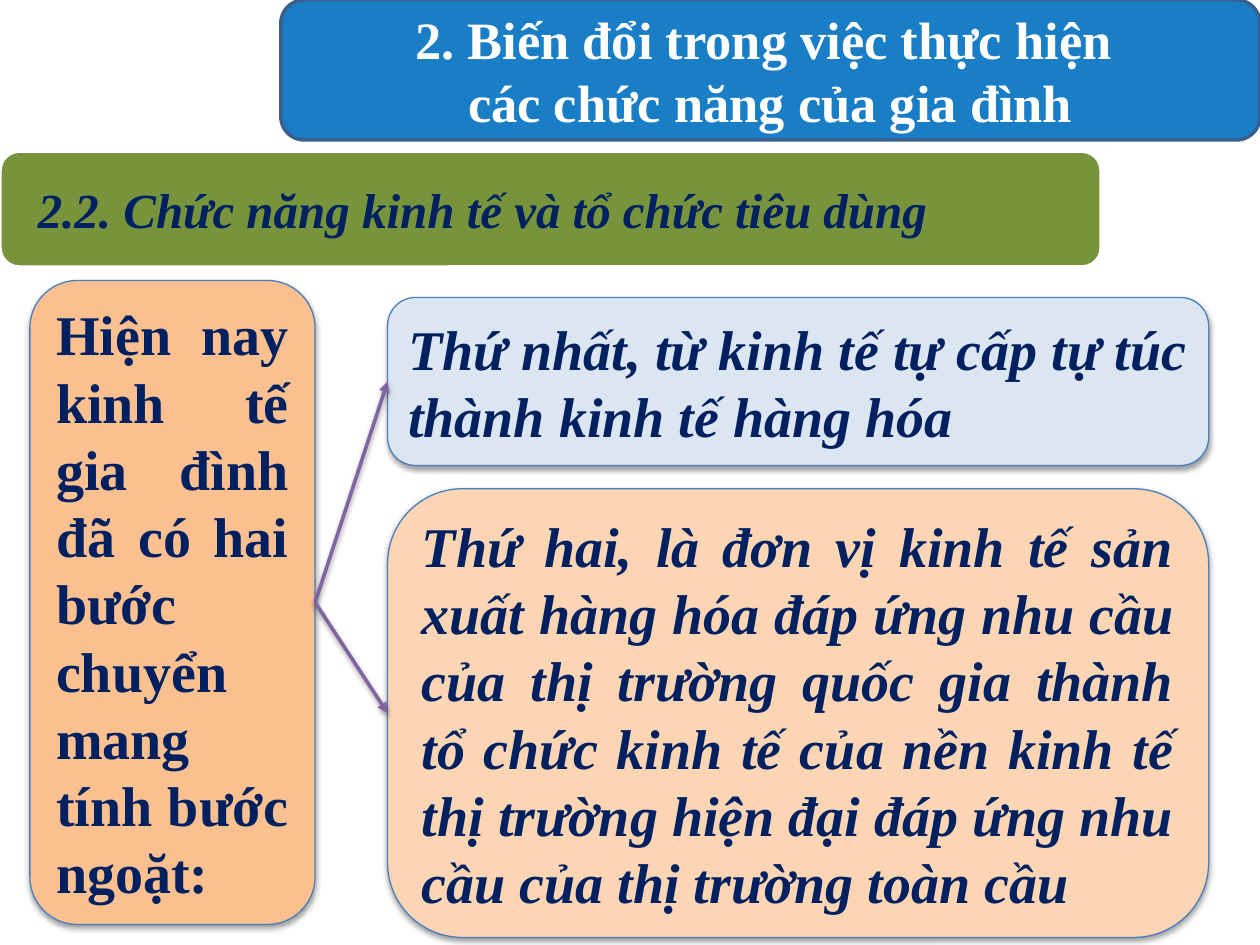
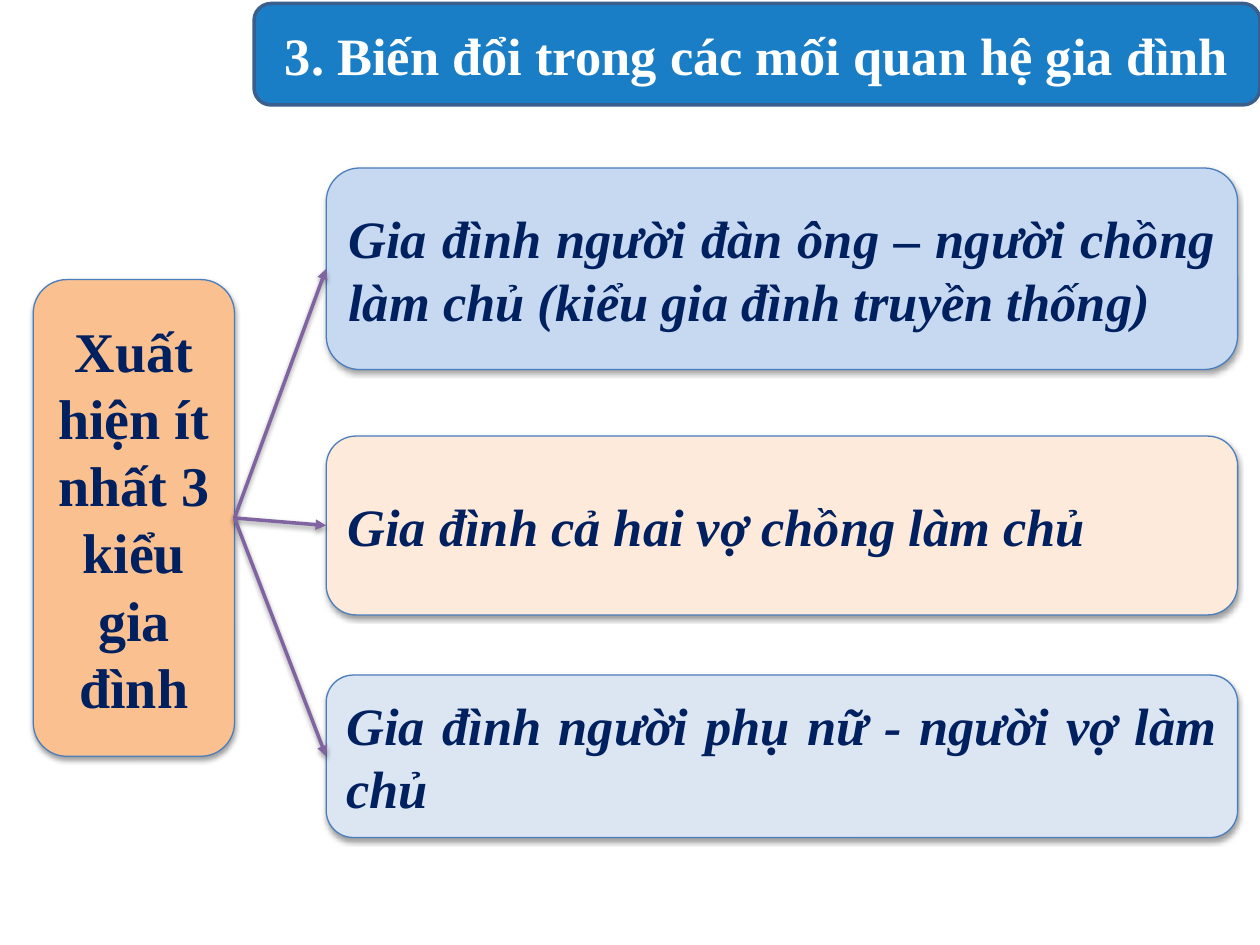
"""Build two slides on changes in family functions and family relationships."""
import pptx
import pptx.util
import pptx.dml.color
import pptx.enum.shapes
import pptx.enum.text
import pptx.oxml
import pptx.oxml.ns
from lxml import etree

Pt = pptx.util.Pt
Align = pptx.enum.text.PP_ALIGN
qn = pptx.oxml.ns.qn

THEME = {
    "font": "Times New Roman",
    "title_fill": "0070C0", "title_line": "3A5F8C", "title_text": "FFFFFF",
    "band": "77933C", "band_line": "FFFFFF",
    "text": "002060", "box_line": "4B7EBC", "arrow": "8064A2",
    "orange": "FAC090", "peach": "FCD5B5", "cream": "FDEADA",
    "pale_blue": "DCE6F2", "blue": "C6D9F1",
    "band_size": 28, "medium": 30, "large": 32,
}
ROUNDED = pptx.enum.shapes.MSO_SHAPE.ROUNDED_RECTANGLE
STRAIGHT = pptx.enum.shapes.MSO_CONNECTOR.STRAIGHT
TITLE = {"fill": "title_fill", "line": "title_line", "width": 2, "color": "title_text",
         "size": "medium", "align": Align.CENTER}
BAND = {"fill": "band", "line": "band_line", "width": 2, "color": "text",
        "size": "band_size", "align": Align.JUSTIFY, "italic": True}
BOX = {"line": "box_line", "width": 0.75, "color": "text", "size": "large",
       "align": Align.JUSTIFY, "shadow": True}
SHADOW = (
    '<a:outerShdw xmlns:a="http://schemas.openxmlformats.org/drawingml/2006/main" '
    'blurRad="39370" dist="20320" dir="5400000" rotWithShape="0">'
    '<a:srgbClr val="000000"><a:alpha val="38000"/></a:srgbClr></a:outerShdw>'
)


def theme_color(name):
    return pptx.dml.color.RGBColor.from_string(THEME[name])


def add_box(slide, place, text, style):
    shape = slide.shapes.add_shape(ROUNDED, *map(Pt, place))
    shape.shadow.inherit = False
    shape.fill.solid()
    shape.fill.fore_color.rgb = theme_color(style["fill"])
    shape.line.color.rgb = theme_color(style["line"])
    shape.line.width = Pt(style["width"])
    if style.get("shadow"):
        effects = shape._element.spPr.find(qn("a:effectLst"))
        effects.append(pptx.oxml.parse_xml(SHADOW))
    shape.text_frame.word_wrap = True
    shape.text_frame.text = text
    font_values = {"name": THEME["font"], "size": Pt(THEME[style["size"]]),
                   "bold": True, "italic": style.get("italic", False)}
    for paragraph in shape.text_frame.paragraphs:
        paragraph.alignment = style["align"]
        for run in paragraph.runs:
            for attribute, value in font_values.items():
                setattr(run.font, attribute, value)
            run.font.color.rgb = theme_color(style["color"])
    return shape


SLIDES = [
    {
        "title": ((160.5, 0, 559.5, 80),
                  "2. Biến đổi trong việc thực hiện \ncác chức năng của gia đình"),
        "band": ((0, 86.4, 629.3, 66.2), "2.2. Chức năng kinh tế và tổ chức tiêu dùng"),
        "cause": ((17.1, 160.3, 163, 368),
                  "Hiện nay kinh tế gia đình đã có hai bước chuyển mang tính bước ngoặt:",
                  Align.JUSTIFY),
        "left": 221.5, "width": 469.2, "size": "large",
        "branches": [
            (170, 96, "pale_blue", "Thứ nhất, từ kinh tế tự cấp tự túc thành kinh tế hàng hóa", None),
            (279.3, 256.4, "peach",
             "Thứ hai, là đơn vị kinh tế sản xuất hàng hóa đáp ứng nhu cầu của thị trường "
             "quốc gia thành tổ chức kinh tế của nền kinh tế thị trường hiện đại đáp ứng "
             "nhu cầu của thị trường toàn cầu", None),
        ],
    },
    {
        "title": ((145.2, 2, 574.8, 58), "3. Biến đổi trong các mối quan hệ gia đình"),
        "cause": ((19, 159.8, 115, 272.4), "Xuất hiện ít nhất 3 kiểu gia đình", Align.CENTER),
        "left": 186.4, "width": 520.8, "size": "medium",
        "branches": [
            (96, 115.2, "blue",
             "Gia đình người đàn ông – người chồng làm chủ (kiểu gia đình truyền thống)", None),
            (249.2, 102.2, "cream", "Gia đình cả hai vợ chồng làm chủ", 296),
            (385.8, 92.8, "pale_blue", "Gia đình người phụ nữ - người vợ làm chủ", None),
        ],
    },
]

presentation = pptx.Presentation()
presentation.slide_width = Pt(720)
presentation.slide_height = Pt(540)

for content in SLIDES:
    slide = presentation.slides.add_slide(presentation.slide_layouts[6])
    if "band" in content:
        band = add_box(slide, *content["band"], BAND)
        band.text_frame.margin_left = band.text_frame.margin_right = Pt(18.4)
    title = add_box(slide, *content["title"], TITLE)
    title_color = title._element.spPr.find(qn("a:solidFill"))[0]
    etree.SubElement(title_color, qn("a:alpha")).set("val", "90000")

    place, text, align = content["cause"]
    cause = add_box(slide, place, text, {**BOX, "fill": "orange", "align": align})
    cause_right = cause.left + cause.width

    for top, height, fill, text, start in content["branches"]:
        branch = add_box(slide, (content["left"], top, content["width"], height), text,
                         {**BOX, "fill": fill, "size": content["size"], "italic": True})
        start_y = Pt(start) if start else cause.top + cause.height // 2
        arrow = slide.shapes.add_connector(
            STRAIGHT, cause_right, start_y, branch.left, branch.top + branch.height // 2)
        if not start:
            arrow.begin_connect(cause, 3)
        arrow.end_connect(branch, 1)
        arrow.line.color.rgb = theme_color("arrow")
        arrow.line.width = Pt(2)
        properties = arrow._element.spPr
        etree.SubElement(properties.find(qn("a:ln")), qn("a:tailEnd")).set("type", "triangle")
        effects = etree.SubElement(properties, qn("a:effectLst"))
        effects.append(pptx.oxml.parse_xml(SHADOW))

presentation.save("out.pptx")
